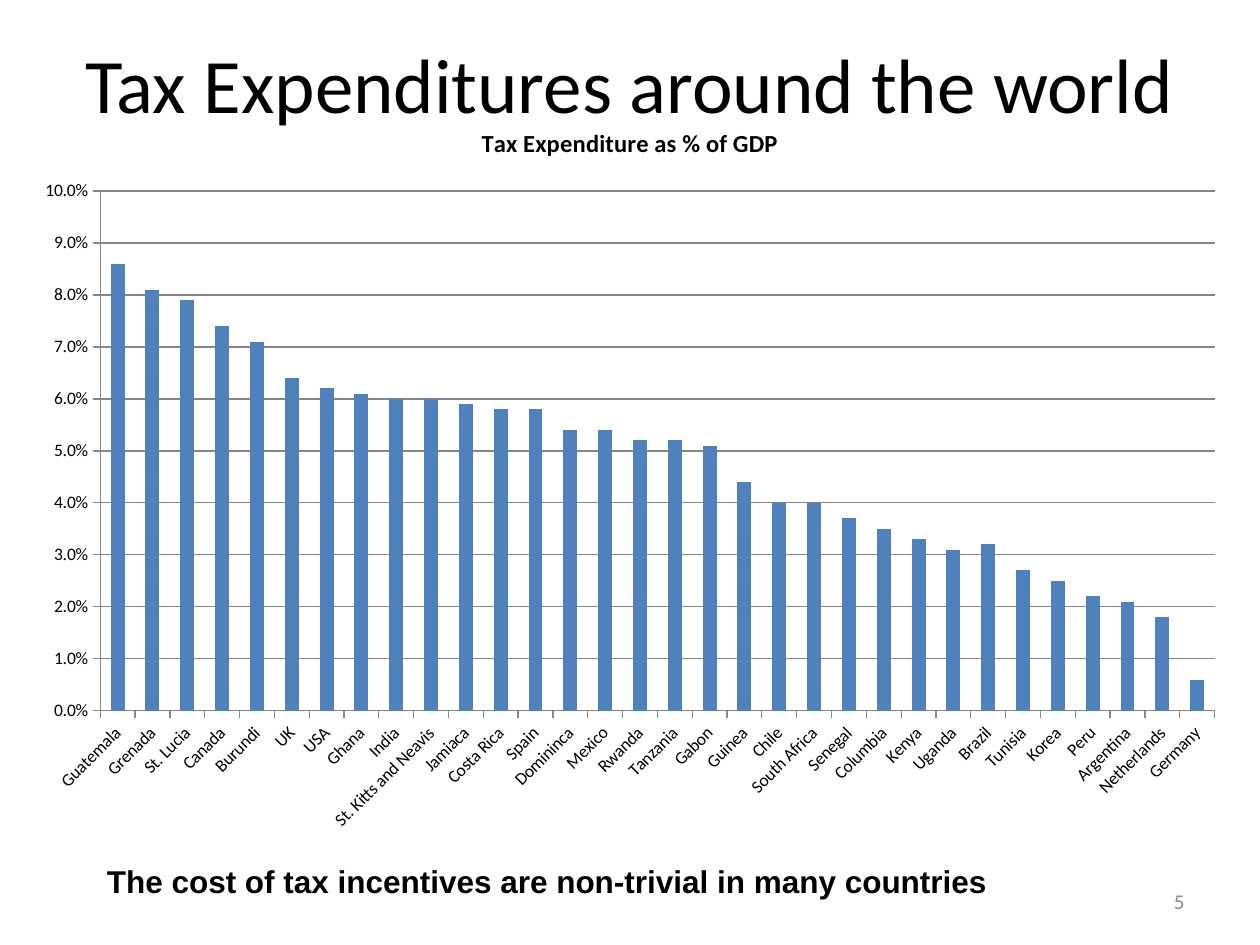
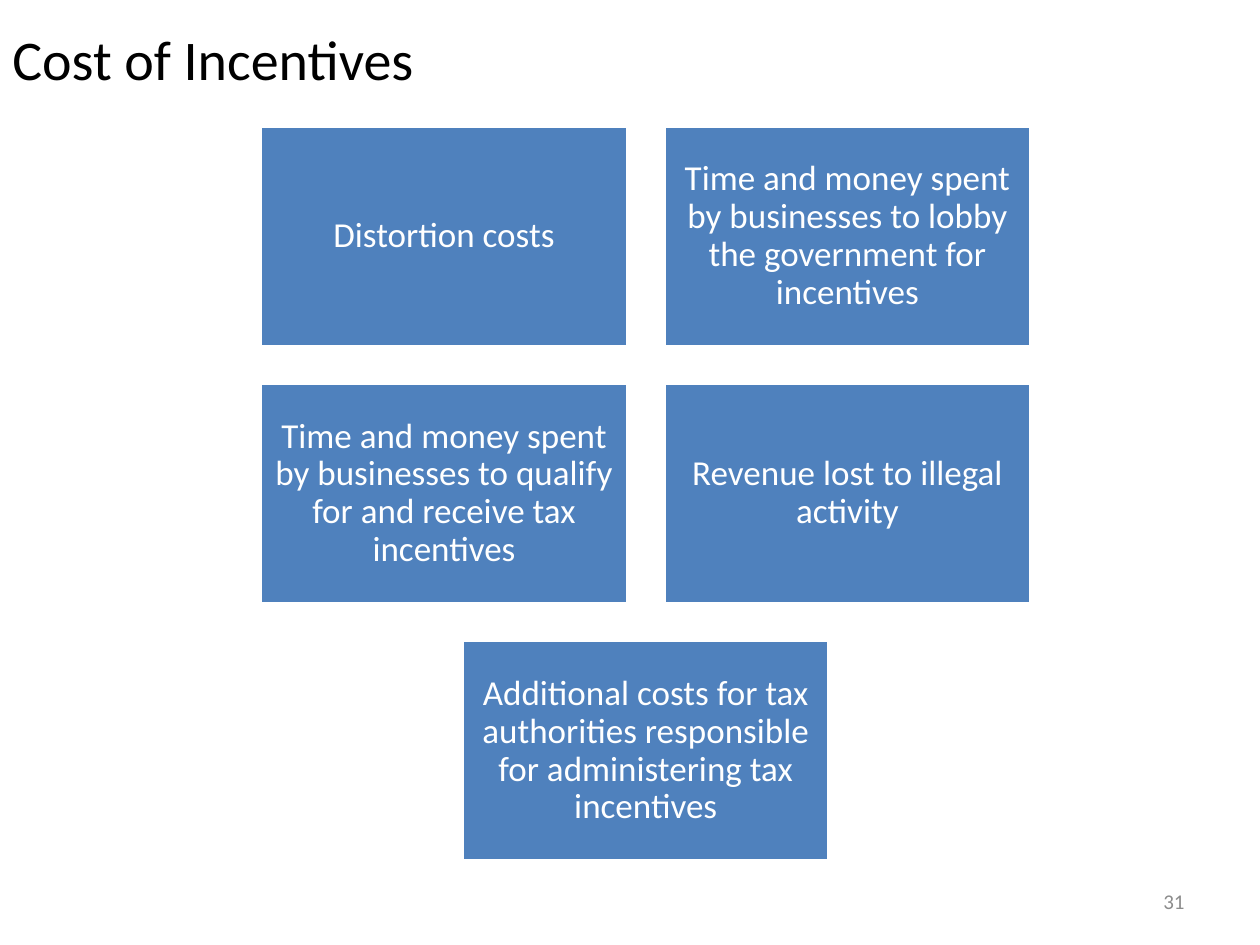
from dataclasses import dataclass

from lxml import etree
from pptx import Presentation
from pptx.chart.data import CategoryChartData
from pptx.dml.color import RGBColor
from pptx.enum.chart import XL_CHART_TYPE, XL_TICK_MARK
from pptx.enum.shapes import MSO_SHAPE
from pptx.enum.text import MSO_ANCHOR, PP_ALIGN
from pptx.util import Pt

CHART_SLIDE = {
    "title": "Tax Expenditures around the world",
    "number": "5",
    "chart_title": "Tax Expenditure as % of GDP",
    "caption": "The cost of tax incentives are non-trivial in many countries",
}
EXPENDITURE = [
    ("Guatemala", 0.086), ("Grenada", 0.081), ("St. Lucia", 0.079),
    ("Canada", 0.074), ("Burundi", 0.071), ("UK", 0.064), ("USA", 0.062),
    ("Ghana", 0.061), ("India", 0.06), ("St. Kitts and Neavis", 0.06),
    ("Jamiaca", 0.059), ("Costa Rica", 0.058), ("Spain", 0.058),
    ("Domininca", 0.054), ("Mexico", 0.054), ("Rwanda", 0.052),
    ("Tanzania", 0.052), ("Gabon", 0.051), ("Guinea", 0.044),
    ("Chile", 0.04), ("South Africa", 0.04), ("Senegal", 0.037),
    ("Columbia", 0.035), ("Kenya", 0.033), ("Uganda", 0.031),
    ("Brazil", 0.032), ("Tunisia", 0.027), ("Korea", 0.025),
    ("Peru", 0.022), ("Argentina", 0.021), ("Netherlands", 0.018),
    ("Germany", 0.006),
]
COST_SLIDE = {"title": "Cost of Incentives", "number": "31"}
COST_ROWS = [
    ["Distortion costs",
     "Time and money spent by businesses to lobby the government for incentives"],
    ["Time and money spent by businesses to qualify for and receive tax incentives",
     "Revenue lost to illegal activity"],
    ["Additional costs for tax authorities responsible for administering tax incentives"],
]


@dataclass(frozen=True)
class Theme:
    ink: RGBColor = RGBColor(0x00, 0x00, 0x00)
    paper: RGBColor = RGBColor(0xFF, 0xFF, 0xFF)
    blue: RGBColor = RGBColor(0x4F, 0x81, 0xBD)
    number: RGBColor = RGBColor(0x8C, 0x8C, 0x8C)
    rule: RGBColor = RGBColor(0x86, 0x86, 0x86)
    font: str = "Calibri"
    caption_font: str = "Arial"
    big_title: int = 44
    title: int = 32
    box: int = 20
    caption: int = 18
    chart_title: int = 14
    footer: int = 12
    axis: int = 10


T = Theme()
BOX_W, BOX_H, GAP = 209.5, 126, 21
GRID_CENTRE, GRID_TOP = 369, 72


def apply(target, **values):
    for name, value in values.items():
        setattr(target, name, value)


def style_font(font, size, color=T.ink, name=T.font, bold=False):
    apply(font, size=Pt(size), name=name, bold=bold)
    font.color.rgb = color


def write(shape, text, size, align=PP_ALIGN.LEFT, anchor=MSO_ANCHOR.MIDDLE, **font):
    tf = shape.text_frame
    apply(tf, word_wrap=True, vertical_anchor=anchor)
    p = tf.paragraphs[0]
    p.alignment = align
    r = p.add_run()
    r.text = text
    style_font(r.font, size, **font)
    return tf


def add_text(s, at, text, size, **style):
    write(s.shapes.add_textbox(*map(Pt, at)), text, size, **style)


def add_number(s, text):
    add_text(s, (516, 500.5, 168, 28.8), text, T.footer,
             align=PP_ALIGN.RIGHT, color=T.number)


def add_expenditure_chart(s):
    data = CategoryChartData(number_format="0.0%")
    data.categories = [country for country, _ in EXPENDITURE]
    data.add_series("Series 1", [share for _, share in EXPENDITURE])
    at = map(Pt, (12, 57, 696, 426))
    chart = s.shapes.add_chart(XL_CHART_TYPE.COLUMN_CLUSTERED, *at, data).chart
    style_font(chart.font, T.axis)
    apply(chart, has_legend=False, has_title=True)
    chart.chart_title.include_in_layout = False
    r = chart.chart_title.text_frame.paragraphs[0].add_run()
    r.text = CHART_SLIDE["chart_title"]
    style_font(r.font, T.chart_title, bold=True)

    plot = chart.plots[0]
    apply(plot, gap_width=150, vary_by_categories=False)
    fill = plot.series[0].format.fill
    fill.solid()
    fill.fore_color.rgb = T.blue

    values, countries = chart.value_axis, chart.category_axis
    apply(values, minimum_scale=0, maximum_scale=0.1, major_unit=0.01,
          has_major_gridlines=True)
    apply(values.tick_labels, number_format="0.0%", number_format_is_linked=False)
    for axis in (values, countries):
        apply(axis, major_tick_mark=XL_TICK_MARK.OUTSIDE,
              minor_tick_mark=XL_TICK_MARK.NONE)
        style_font(axis.tick_labels.font, T.axis)
    for part in (values, countries, values.major_gridlines):
        part.format.line.width = Pt(0.75)
        part.format.line.color.rgb = T.rule


def add_cost_box(s, left, top, text):
    sp = s.shapes.add_shape(MSO_SHAPE.RECTANGLE, *map(Pt, (left, top, BOX_W, BOX_H)))
    sp.shadow.inherit = False
    sp.fill.solid()
    sp.fill.fore_color.rgb = T.blue
    sp.line.color.rgb = T.paper
    sp.line.width = Pt(2)
    tf = write(sp, text, T.box, align=PP_ALIGN.CENTER, color=T.paper)
    for side in ("left", "top", "right", "bottom"):
        setattr(tf, f"margin_{side}", Pt(6))
    tf.paragraphs[0].line_spacing = 0.9


def build_chart_slide(s):
    add_expenditure_chart(s)
    add_text(s, (36, 2, 648, 90), CHART_SLIDE["title"], T.big_title,
             align=PP_ALIGN.CENTER)
    add_number(s, CHART_SLIDE["number"])
    add_text(s, (54, 489, 612, 29), CHART_SLIDE["caption"], T.caption,
             anchor=MSO_ANCHOR.TOP, name=T.caption_font, bold=True)


def build_cost_slide(s):
    add_text(s, (0, 0, 648, 66), COST_SLIDE["title"], T.title)
    add_number(s, COST_SLIDE["number"])
    for row, costs in enumerate(COST_ROWS):
        row_width = len(costs) * (BOX_W + GAP) - GAP
        for col, cost in enumerate(costs):
            left = GRID_CENTRE - row_width / 2 + col * (BOX_W + GAP)
            add_cost_box(s, left, GRID_TOP + row * (BOX_H + GAP), cost)


def main():
    prs = Presentation()
    apply(prs, slide_width=Pt(720), slide_height=Pt(540))
    for build in (build_chart_slide, build_cost_slide):
        build(prs.slides.add_slide(prs.slide_layouts[6]))
    prs.save("out.pptx")


if __name__ == "__main__":
    main()
